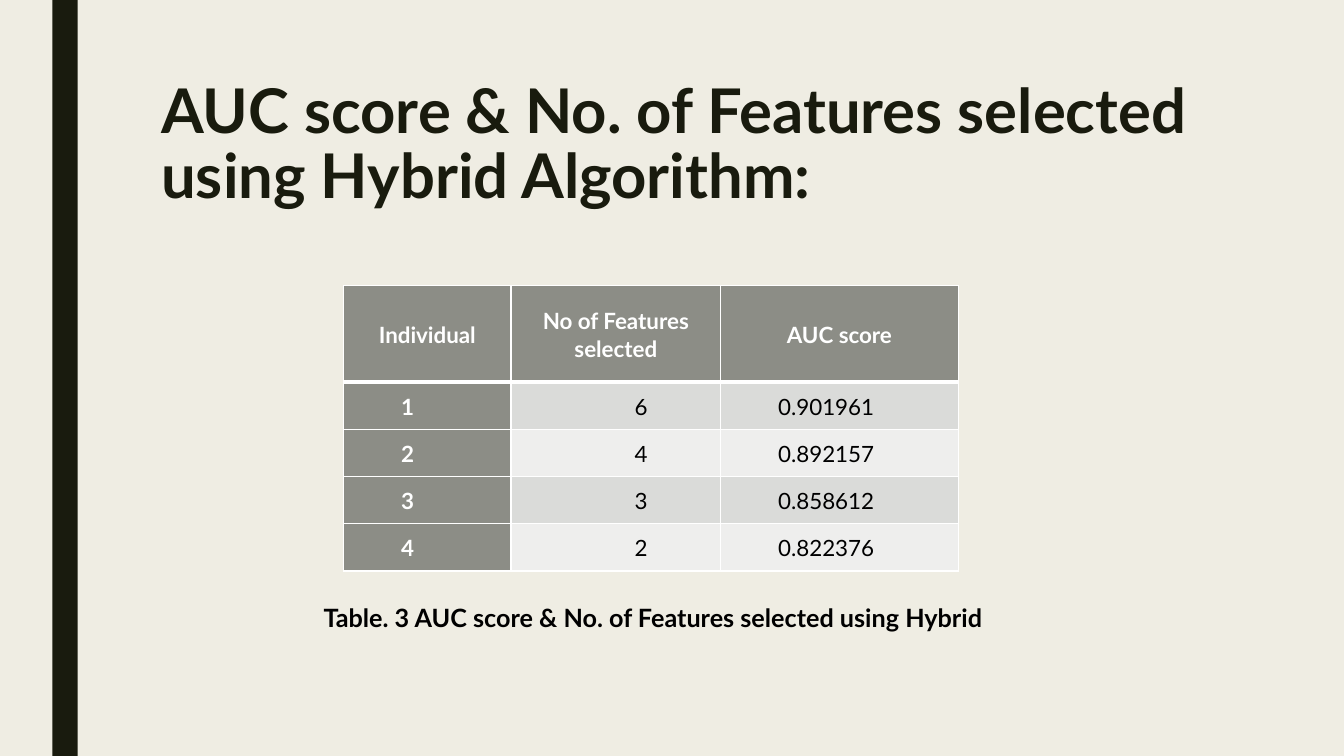
from lxml.etree import SubElement
from pptx import Presentation
from pptx.dml.color import RGBColor
from pptx.enum.shapes import MSO_SHAPE as Shape
from pptx.enum.text import MSO_ANCHOR as Anchor, MSO_AUTO_SIZE as AutoSize, PP_ALIGN as Align
from pptx.oxml import parse_xml
from pptx.oxml.ns import nsdecls, qn
from pptx.util import Cm, Pt

FONT = "Lato"
DARK, BLACK, WHITE = "191B0E", "000000", "FFFFFF"
PAPER, GRAY = "EFEDE3", "8C8D86"
BANDS = ["DADBD9", "EEEEED"]
HEADINGS = ["Individual", "No of Features selected", "AUC score"]
RESULTS = [
    ["1", "6", "0.901961"],
    ["2", "4", "0.892157"],
    ["3", "3", "0.858612"],
    ["4", "2", "0.822376"],
]
COLUMN_WIDTHS = [4.22, 5.28, 5.99]
HEADER_HEIGHT, ROW_HEIGHT = 2.44, 1.19


def paint(color_format, color):
    color_format.rgb = RGBColor.from_string(color)


def fill_solid(fill, color):
    fill.solid()
    paint(fill.fore_color, color)


def write(para, text, size, color, bold, align, spacing=None):
    para.alignment = align
    para.line_spacing = spacing
    span = para.add_run()
    span.text = text
    span.font.name = FONT
    span.font.size = Pt(size)
    span.font.bold = bold
    paint(span.font.color, color)


def add_side_bar(page, height):
    bar = page.shapes.add_shape(Shape.RECTANGLE, Cm(1.32), 0, Cm(0.64), height)
    bar.shadow.inherit = False
    fill_solid(bar.fill, DARK)
    bar.line.fill.background()


def set_title(page, text):
    title = page.shapes.title
    title.left, title.top, title.width, title.height = Cm(3.81), Cm(1.9), Cm(26.67), Cm(4.11)
    frame = title.text_frame
    frame.word_wrap = True
    frame.auto_size = AutoSize.NONE
    frame.vertical_anchor = Anchor.TOP
    write(frame.paragraphs[0], text, 44, DARK, True, Align.LEFT, 0.89)


def add_caption(page, text):
    box = page.shapes.add_textbox(Cm(4.72), Cm(15.06), Cm(23.47), Cm(1.02))
    frame = box.text_frame
    frame.word_wrap = True
    frame.auto_size = AutoSize.SHAPE_TO_FIT_TEXT
    write(frame.paragraphs[0], text, 18, BLACK, True, Align.CENTER)


def set_borders(cell, top, bottom):
    properties = cell._tc.get_or_add_tcPr()
    widths = {"lnL": 1, "lnR": 1, "lnT": top, "lnB": bottom}
    for index, (side, width) in enumerate(widths.items()):
        line = parse_xml(f'<a:{side} {nsdecls("a")} w="{Pt(width)}"/>')
        solid = SubElement(line, qn("a:solidFill"))
        SubElement(solid, qn("a:srgbClr"), val=WHITE)
        properties.insert(index, line)


def fill_cell(cell, text, row, column):
    is_header = row == 0
    is_label = is_header or column == 0
    fill_solid(cell.fill, GRAY if is_label else BANDS[(row - 1) % 2])
    set_borders(cell, 3 if row == 1 else 1, 3 if is_header else 1)
    cell.vertical_anchor = Anchor.MIDDLE
    cell.margin_left = cell.margin_right = Cm(0.18)
    cell.margin_top = cell.margin_bottom = 0
    para = cell.text_frame.paragraphs[0]
    align = Align.CENTER if is_header or column == 1 else Align.JUSTIFY
    write(para, text, 16, WHITE if is_label else BLACK, is_label, align, 1.05)
    if not is_header:
        para._p.get_or_add_pPr().set("marL", str(Cm(1.27)))


def add_results_table(page):
    rows = [HEADINGS] + RESULTS
    heights = [HEADER_HEIGHT] + [ROW_HEIGHT] * len(RESULTS)
    frame = page.shapes.add_table(len(rows), len(HEADINGS), Cm(8.66), Cm(7.19),
                                  Cm(sum(COLUMN_WIDTHS)), Cm(sum(heights)))
    table = frame.table
    for column, width in zip(table.columns, COLUMN_WIDTHS):
        column.width = Cm(width)
    for row, height in zip(table.rows, heights):
        row.height = Cm(height)
    for row, texts in enumerate(rows):
        for column, text in enumerate(texts):
            fill_cell(table.cell(row, column), text, row, column)


def main():
    deck = Presentation()
    deck.slide_width, deck.slide_height = Cm(33.87), Cm(19.05)
    page = deck.slides.add_slide(deck.slide_layouts[5])
    fill_solid(page.background.fill, PAPER)
    add_side_bar(page, deck.slide_height)
    set_title(page, "AUC score & No. of Features selected using Hybrid Algorithm:")
    add_caption(page, "Table. 3 AUC score & No. of Features selected using Hybrid")
    add_results_table(page)
    deck.save("out.pptx")


if __name__ == "__main__":
    main()
